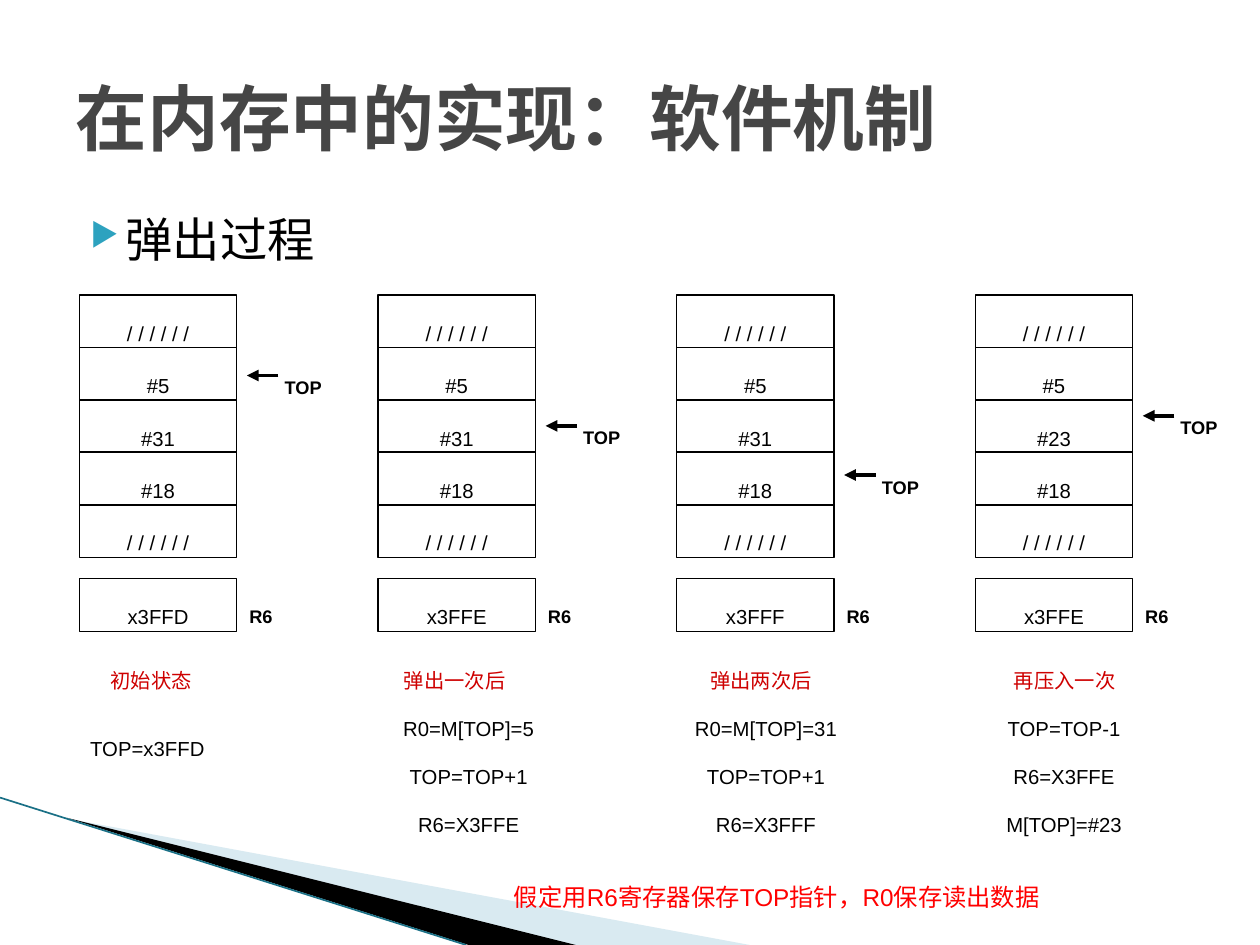
from lxml import etree
from pptx import Presentation
from pptx.dml.color import RGBColor
from pptx.enum.shapes import MSO_CONNECTOR, MSO_SHAPE
from pptx.enum.text import MSO_ANCHOR, MSO_AUTO_SIZE, PP_ALIGN
from pptx.oxml.ns import qn
from pptx.util import Inches, Pt

RECT, STRAIGHT = MSO_SHAPE.RECTANGLE, MSO_CONNECTOR.STRAIGHT
LEFT, CENTER = PP_ALIGN.LEFT, PP_ALIGN.CENTER
MIDDLE, GROW = MSO_ANCHOR.MIDDLE, MSO_AUTO_SIZE.SHAPE_TO_FIT_TEXT

BLACK = RGBColor(0x00, 0x00, 0x00)
GREY = RGBColor(0x46, 0x46, 0x46)
RED = RGBColor(0xFF, 0x00, 0x00)
DARK_RED = RGBColor(0xCE, 0x00, 0x00)
PALE_BLUE = RGBColor(0xA0, 0xCB, 0xDC)
TEAL = RGBColor(0x1A, 0x70, 0x86)
BULLET_COLOR = "2DA2BF"
HEADING_FONT, BODY_FONT = "Noto Sans Mono", "Arial"

TITLE = "在内存中的实现：软件机制"
TOPIC = "弹出过程"
NOTE = "假定用R6寄存器保存TOP指针，R0保存读出数据"
UNUSED = "/ / / / / /"

# Text boxes are (left, top, width, height) in inches.
STAGES = [
    dict(cells=[UNUSED, "#5", "#31", "#18", UNUSED], r6="x3FFD", top_y=2.77,
         label="初始状态", label_box=(0.54, 5.07, 1.32, 0.44),
         steps=["TOP=x3FFD"], steps_box=(0.28, 5.61, 1.78, 0.44)),
    dict(cells=[UNUSED, "#5", "#31", "#18", UNUSED], r6="x3FFE", top_y=3.17,
         label="弹出一次后", label_box=(2.81, 5.07, 1.6, 0.44),
         steps=["R0=M[TOP]=5", "TOP=TOP+1", "R6=X3FFE"],
         steps_box=(2.72, 5.45, 2, 1.11)),
    dict(cells=[UNUSED, "#5", "#31", "#18", UNUSED], r6="x3FFF", top_y=3.56,
         label="弹出两次后", label_box=(5.24, 5.07, 1.6, 0.44),
         steps=["R0=M[TOP]=31", "TOP=TOP+1", "R6=X3FFF"],
         steps_box=(5, 5.45, 2.16, 1.11)),
    dict(cells=[UNUSED, "#5", "#23", "#18", UNUSED], r6="x3FFE", top_y=3.09,
         label="再压入一次", label_box=(7.65, 5.07, 1.6, 0.44),
         steps=["TOP=TOP-1", "R6=X3FFE", "M[TOP]=#23"],
         steps_box=(7.55, 5.45, 1.79, 1.45)),
]
STACK_X, STACK_Y, STAGE_PITCH = 0.63, 2.34, 2.37
CELL_W, CELL_H, CELL_PITCH = 1.25, 0.42, 0.416
R6_Y = 4.59

PALE_WEDGE = [(0.55, 6.5), (5.95, 7.5), (4.56, 7.5)]
BLACK_WEDGE = [(0.53, 6.49), (4.57, 7.5), (3.72, 7.5)]


def write(sp, lines, size=20, color=BLACK, bold=False, align=LEFT,
          font=BODY_FONT, lowered=True):
    tf = sp.text_frame
    for i, line in enumerate(lines):
        p = tf.add_paragraph() if i else tf.paragraphs[0]
        p.alignment = align
        r = p.add_run()
        r.text = line
        r.font.name, r.font.size = font, Pt(size)
        r.font.bold, r.font.color.rgb = bold, color
        if lowered:
            r.font._element.set("baseline", "-25000")


def add_text(slide, box, lines, wrap=False, auto_size=GROW, **fmt):
    sp = slide.shapes.add_textbox(*map(Inches, box))
    sp.text_frame.word_wrap = wrap
    sp.text_frame.auto_size = auto_size
    write(sp, lines, **fmt)
    return sp


def add_cell(slide, x, y, text):
    sp = slide.shapes.add_shape(RECT, *map(Inches, (x, y, CELL_W, CELL_H)))
    sp.shadow.inherit = False
    sp.fill.background()
    sp.line.color.rgb, sp.line.width = BLACK, Pt(0.75)
    sp.text_frame.word_wrap = False
    sp.text_frame.vertical_anchor = MIDDLE
    write(sp, [text], align=CENTER)


def add_line(slide, start, end, color, width, arrow=False):
    line = slide.shapes.add_connector(STRAIGHT, *map(Inches, start + end))
    line.line.color.rgb, line.line.width = color, Pt(width)
    if arrow:
        etree.SubElement(line.line._get_or_add_ln(), qn("a:tailEnd"), type="triangle")
    etree.SubElement(line._element.spPr, qn("a:effectLst"))


def add_wedge(slide, points, color, alpha=None):
    start, *rest = [(Inches(x), Inches(y)) for x, y in points]
    builder = slide.shapes.build_freeform(*start)
    builder.add_line_segments(rest, close=True)
    sp = builder.convert_to_shape()
    sp.shadow.inherit = False
    sp.fill.solid()
    sp.fill.fore_color.rgb = color
    sp.line.fill.background()
    if alpha:
        clr = sp._element.spPr.find(qn("a:solidFill"))[0]
        etree.SubElement(clr, qn("a:alpha"), val=str(alpha * 1000))


def add_bullet(p):
    pPr = p._p.get_or_add_pPr()
    pPr.set("marL", str(Inches(0.4)))
    pPr.set("indent", str(Inches(-0.28)))
    clr = etree.SubElement(pPr, qn("a:buClr"))
    etree.SubElement(clr, qn("a:srgbClr"), val=BULLET_COLOR)
    etree.SubElement(pPr, qn("a:buSzPct"), val="68000")
    etree.SubElement(pPr, qn("a:buChar"), char="▶")


def add_stage(slide, x, stage):
    for row, text in enumerate(stage["cells"]):
        add_cell(slide, x, STACK_Y + row * CELL_PITCH, text)
    add_cell(slide, x, R6_Y, stage["r6"])
    right = x + CELL_W
    add_text(slide, (right, R6_Y, 0.52, 0.4), ["R6"], size=18, bold=True)
    y = stage["top_y"]
    add_text(slide, (right + 0.28, y, 0.72, 0.4), ["TOP"], size=18, bold=True)
    add_line(slide, (right + 0.33, y + 0.21), (right + 0.08, y + 0.21),
             BLACK, 2.25, arrow=True)
    add_text(slide, stage["label_box"], [stage["label"]], color=DARK_RED, align=CENTER)
    add_text(slide, stage["steps_box"], stage["steps"], align=CENTER)


def main():
    prs = Presentation()
    prs.slide_width, prs.slide_height = Inches(10), Inches(7.5)
    slide = prs.slides.add_slide(prs.slide_layouts[5])

    add_wedge(slide, PALE_WEDGE, PALE_BLUE, alpha=40)
    add_wedge(slide, BLACK_WEDGE, BLACK)
    add_line(slide, (0, 6.33), (3.7, 7.5), TEAL, 0.95)

    title = slide.shapes.title
    title.left, title.top, title.width, title.height = map(Inches, (0.5, 0.3, 9, 1.25))
    title.text_frame.vertical_anchor = MIDDLE
    write(title, [TITLE], size=41, color=GREY, bold=True, font=HEADING_FONT, lowered=False)

    topic = add_text(slide, (0.5, 1.62, 9, 4.95), [TOPIC], wrap=True,
                     auto_size=MSO_AUTO_SIZE.NONE, size=27,
                     font=HEADING_FONT, lowered=False)
    p = topic.text_frame.paragraphs[0]
    p.space_before = Pt(4)
    add_bullet(p)

    for i, stage in enumerate(STAGES):
        add_stage(slide, STACK_X + i * STAGE_PITCH, stage)
    add_text(slide, (3.98, 6.73, 5.01, 0.37), [NOTE], wrap=True, size=24, color=RED)

    prs.save("out.pptx")


if __name__ == "__main__":
    main()
